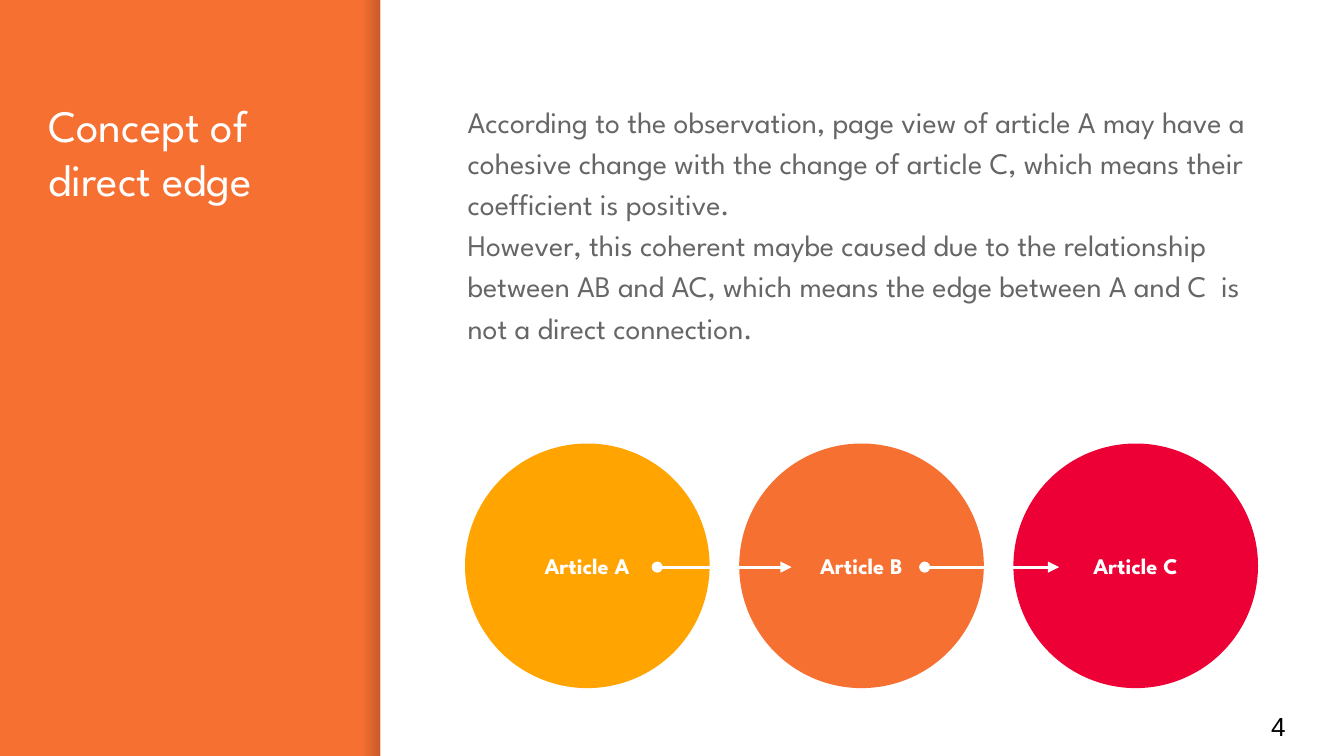
from lxml.etree import SubElement
from pptx import Presentation
from pptx.dml.color import RGBColor
from pptx.enum.shapes import MSO_CONNECTOR, MSO_SHAPE
from pptx.enum.text import MSO_ANCHOR, MSO_AUTO_SIZE, PP_ALIGN
from pptx.oxml.ns import qn
from pptx.util import Inches, Pt

ORANGE = RGBColor(0xF6, 0x70, 0x31)
AMBER = RGBColor(0xFF, 0xA4, 0x00)
RED = RGBColor(0xED, 0x00, 0x36)
WHITE = RGBColor(0xFF, 0xFF, 0xFF)
GREY = RGBColor(0x66, 0x66, 0x66)
BLACK = RGBColor(0, 0, 0)
SHADE = RGBColor(0, 0, 0x14)

FONT = "League Spartan"
SLIDE_WIDTH = 10
SLIDE_HEIGHT = SLIDE_WIDTH * 9 / 16
PANEL_LEFT = 2.83
CIRCLE_LEFT, CIRCLE_TOP, CIRCLE_SIZE, CIRCLE_STEP = 3.46, 3.3, 1.82, 2.04
ARROW_LEFT, ARROW_Y, ARROW_LENGTH, ARROW_STEP = 4.89, 4.22, 1, 1.99

ARTICLES = [("Article A", AMBER), ("Article B", ORANGE), ("Article C", RED)]
EXPLANATION = [
    "According to the observation, page view of article A may have a cohesive "
    "change with the change of article C, which means their coefficient is positive.",
    "However, this coherent maybe caused due to the relationship between AB and AC, "
    "which means the edge between A and C  is not a direct connection.",
]


def write_text(shape, paragraphs, size, color, font=FONT, bold=False,
               anchor=MSO_ANCHOR.TOP, align=PP_ALIGN.LEFT, spacing=1.0):
    frame = shape.text_frame
    frame.text = "\n".join(paragraphs)
    frame_format = {
        "word_wrap": True, "auto_size": MSO_AUTO_SIZE.NONE, "vertical_anchor": anchor,
        "margin_left": Inches(0.1), "margin_right": Inches(0.1),
        "margin_top": Inches(0.1), "margin_bottom": Inches(0.1),
    }
    for name, value in frame_format.items():
        setattr(frame, name, value)
    paragraph_format = {"alignment": align, "line_spacing": spacing,
                        "space_before": Pt(0), "space_after": Pt(0)}
    font_format = {"name": font, "size": Pt(size), "bold": bold}
    for paragraph in frame.paragraphs:
        for name, value in paragraph_format.items():
            setattr(paragraph, name, value)
        for run in paragraph.runs:
            for name, value in font_format.items():
                setattr(run.font, name, value)
            run.font.color.rgb = color


def place(shape, left, top, width, height):
    box = {"left": left, "top": top, "width": width, "height": height}
    for name, value in box.items():
        setattr(shape, name, Inches(value))


def remove_bullets(shape):
    for paragraph in shape.text_frame.paragraphs:
        properties = paragraph._p.get_or_add_pPr()
        properties.set("marL", "0")
        properties.set("indent", "0")
        SubElement(properties, qn("a:buNone"))


def add_plain_shape(slide, kind, left, top, width, height):
    shape = slide.shapes.add_shape(
        kind, Inches(left), Inches(top), Inches(width), Inches(height))
    shape.shadow.inherit = False
    shape.line.fill.background()
    return shape


def add_panel(slide):
    """Add the white panel and the soft shade on its left edge."""
    shade = add_plain_shape(slide, MSO_SHAPE.RECTANGLE, 2.7, 0, 0.12, SLIDE_HEIGHT)
    shade.fill.gradient()
    shade.fill.gradient_angle = 0
    for stop, opacity in zip(shade.fill.gradient_stops, (0, 20)):
        stop.color.rgb = SHADE
        color = stop._gs.find(qn("a:srgbClr"))
        SubElement(color, qn("a:alpha")).set("val", str(opacity * 1000))

    panel = add_plain_shape(slide, MSO_SHAPE.RECTANGLE, PANEL_LEFT, 0,
                            SLIDE_WIDTH - PANEL_LEFT, SLIDE_HEIGHT)
    panel.fill.solid()
    panel.fill.fore_color.rgb = WHITE


def add_article(slide, label, color, left):
    circle = add_plain_shape(slide, MSO_SHAPE.OVAL, left, CIRCLE_TOP,
                             CIRCLE_SIZE, CIRCLE_SIZE)
    circle.fill.solid()
    circle.fill.fore_color.rgb = color
    write_text(circle, [label], 12, WHITE, bold=True,
               anchor=MSO_ANCHOR.MIDDLE, align=PP_ALIGN.CENTER)


def add_arrow(slide, left):
    arrow = slide.shapes.add_connector(
        MSO_CONNECTOR.STRAIGHT, Inches(left), Inches(ARROW_Y),
        Inches(left + ARROW_LENGTH), Inches(ARROW_Y))
    arrow.line.color.rgb = WHITE
    arrow.line.width = Pt(1.5)
    properties = arrow._element.spPr
    outline = properties.find(qn("a:ln"))
    for end, kind in (("a:headEnd", "oval"), ("a:tailEnd", "triangle")):
        SubElement(outline, qn(end)).set("type", kind)
    SubElement(properties, qn("a:effectLst"))


def main():
    presentation = Presentation()
    presentation.slide_width = Inches(SLIDE_WIDTH)
    presentation.slide_height = Inches(SLIDE_HEIGHT)
    slide = presentation.slides.add_slide(presentation.slide_layouts[1])
    slide.background.fill.solid()
    slide.background.fill.fore_color.rgb = ORANGE

    title, body = slide.placeholders
    add_panel(slide)
    for placeholder in (title, body):  # bring the text in front of the panel
        slide.shapes._spTree.append(placeholder._element)

    place(title, 0.26, 0.63, 2.24, 4.35)
    write_text(title, ["Concept of direct edge"], 24, WHITE)
    place(body, 3.38, 0.63, 6.12, 3.02)
    write_text(body, EXPLANATION, 16, GREY, spacing=1.15)
    remove_bullets(body)

    page_number = slide.shapes.add_textbox(
        Inches(9.36), Inches(5.19), Inches(0.6), Inches(0.43))
    write_text(page_number, ["4"], 14, BLACK, font="Arial", anchor=MSO_ANCHOR.MIDDLE)

    for index, (label, color) in enumerate(ARTICLES):
        add_article(slide, label, color, CIRCLE_LEFT + index * CIRCLE_STEP)
    for index in range(len(ARTICLES) - 1):
        add_arrow(slide, ARROW_LEFT + index * ARROW_STEP)

    presentation.save("out.pptx")


if __name__ == "__main__":
    main()
